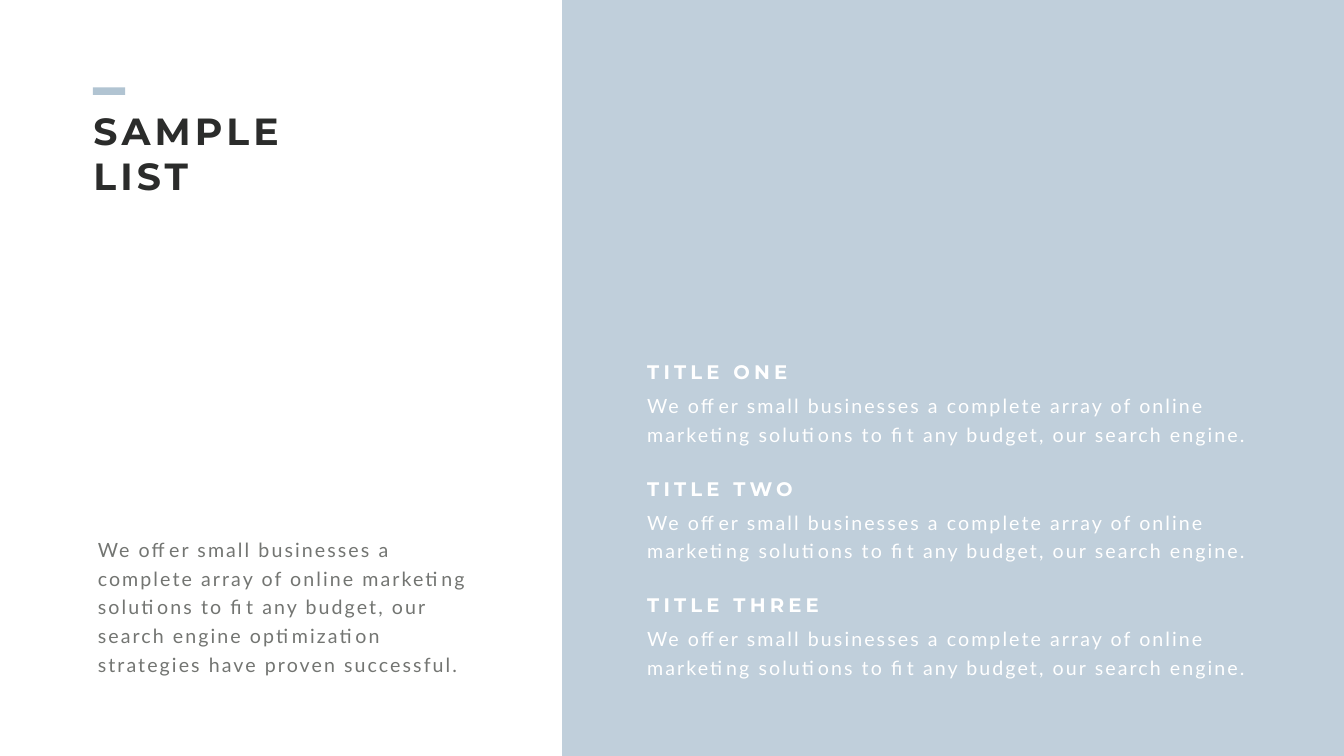
from dataclasses import dataclass

from lxml import etree
from pptx import Presentation
from pptx.dml.color import RGBColor
from pptx.enum import shapes, text
from pptx.oxml import ns
from pptx.util import Pt

HEADING = "SAMPLE LIST"
OFFER = "We offer small businesses a complete array of online marketing solutions to fit any budget, our search engine"
INTRO = OFFER + " optimization strategies have proven successful."
ITEMS = [(name, OFFER + ".") for name in ("TITLE ONE", "TITLE TWO", "TITLE THREE")]

SLIDE_WIDTH, SLIDE_HEIGHT = 1919.52, 1080
PANEL_LEFT = 802.8
ITEM_LEFT, ITEM_TOP, ITEM_STEP = 917.3, 511.2, 166.4
ITEM_TITLE_SIZE = (411.8, 41.2)
ITEM_TEXT_SIZE = (887.8, 85.7)


@dataclass(frozen=True)
class Style:
    font: str
    size: float
    color: str
    tracking: float
    bold: bool = False
    leading: float | None = None


class Theme:
    accent = "B1C4D2"
    panel_opacity = 80
    heading = Style("Montserrat", 54, "2B2C2B", 6, bold=True)
    intro = Style("Lato", 28, "737572", 3, leading=40.8)
    item_title = Style("Montserrat", 28, "FFFFFF", 6, bold=True)
    item_text = Style("Lato", 28, "FFFFFF", 3, leading=40.8)


def place(box, left, top, width, height):
    box.left, box.top, box.width, box.height = map(Pt, (left, top, width, height))


def write(box, words, style):
    frame = box.text_frame
    frame.word_wrap = True
    frame.auto_size = text.MSO_AUTO_SIZE.NONE
    frame.vertical_anchor = text.MSO_ANCHOR.TOP
    para = frame.paragraphs[0]
    para.alignment = text.PP_ALIGN.LEFT
    para.space_before = Pt(0)
    if style.leading:
        para.line_spacing = Pt(style.leading)
    span = para.add_run()
    span.text = words
    font = span.font
    font.name, font.size, font.bold = style.font, Pt(style.size), style.bold
    font.color.rgb = RGBColor.from_string(style.color)
    span._r.get_or_add_rPr().set("spc", str(round(style.tracking * 100)))


def remove_bullet(para):
    properties = para._p.get_or_add_pPr()
    properties.set("marL", "0")
    properties.set("indent", "0")
    etree.SubElement(properties, ns.qn("a:buNone"))


def add_text(page, words, style, *bounds):
    write(page.shapes.add_textbox(*map(Pt, bounds)), words, style)


def add_block(page, *bounds, opacity=100):
    block = page.shapes.add_shape(shapes.MSO_SHAPE.RECTANGLE, *map(Pt, bounds))
    block.shadow.inherit = False
    block.line.fill.background()
    block.fill.solid()
    block.fill.fore_color.rgb = RGBColor.from_string(Theme.accent)
    if opacity < 100:
        color = block._element.spPr.find(".//" + ns.qn("a:srgbClr"))
        etree.SubElement(color, ns.qn("a:alpha"), val=str(opacity * 1000))


def main():
    deck = Presentation()
    deck.slide_width, deck.slide_height = Pt(SLIDE_WIDTH), Pt(SLIDE_HEIGHT)
    page = deck.slides.add_slide(deck.slide_layouts.get_by_name("Title and Content"))

    heading, intro = page.shapes.title, page.placeholders[1]
    place(heading, 126, 149.8, 326.2, 138.2)
    write(heading, HEADING, Theme.heading)
    place(intro, 132.5, 758.2, 555.1, 210.2)
    write(intro, INTRO, Theme.intro)
    remove_bullet(intro.text_frame.paragraphs[0])

    add_block(page, 132.8, 124.9, 46.1, 10.8)
    add_block(page, PANEL_LEFT, 0, SLIDE_WIDTH - PANEL_LEFT, SLIDE_HEIGHT, opacity=Theme.panel_opacity)

    for index, (name, description) in enumerate(ITEMS):
        top = ITEM_TOP + index * ITEM_STEP
        add_text(page, name, Theme.item_title, ITEM_LEFT, top, *ITEM_TITLE_SIZE)
        add_text(page, description, Theme.item_text, ITEM_LEFT, top + ITEM_TITLE_SIZE[1], *ITEM_TEXT_SIZE)

    deck.save("out.pptx")


if __name__ == "__main__":
    main()
